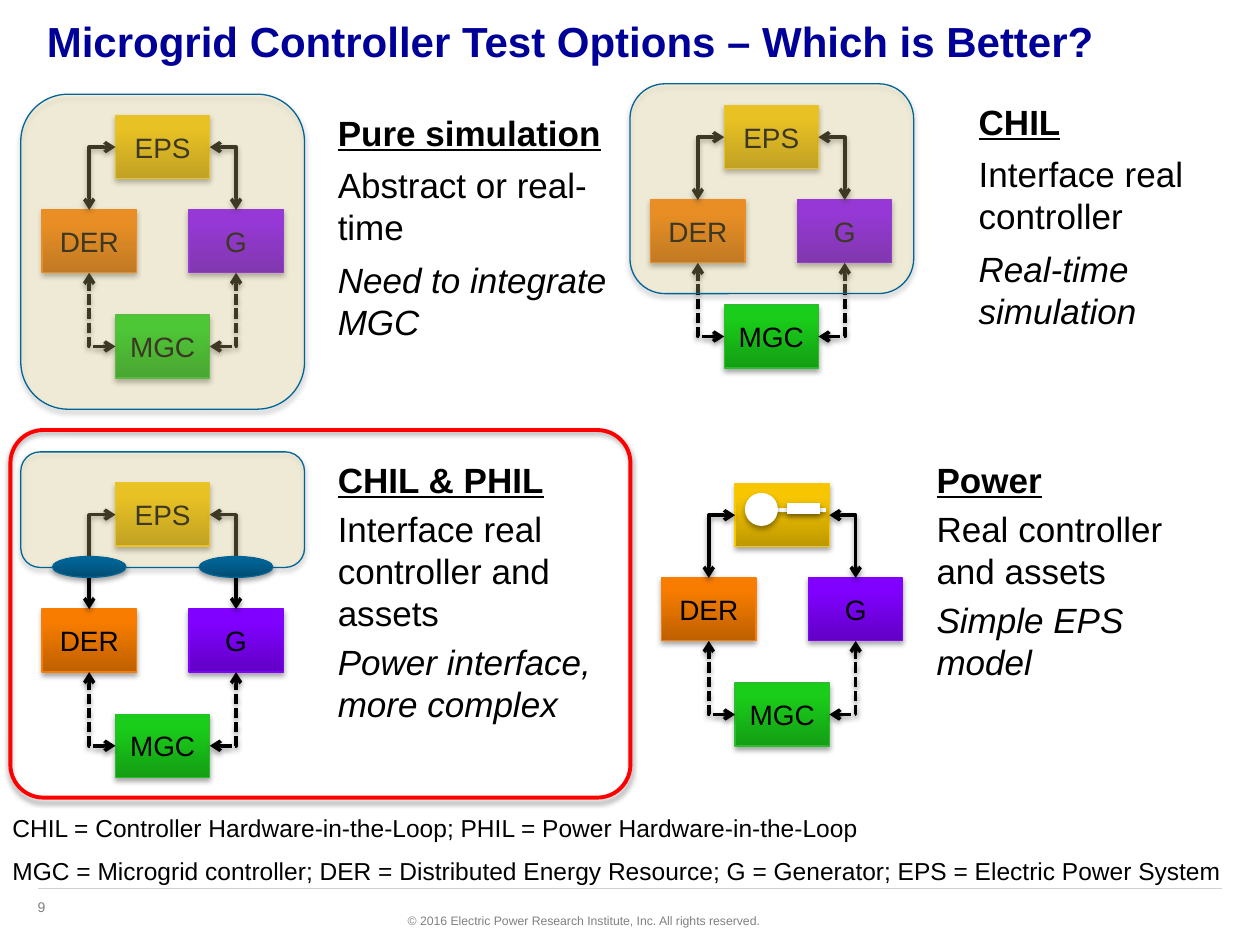
from lxml.etree import SubElement
from pptx import Presentation
from pptx.dml.color import RGBColor
from pptx.enum.dml import MSO_LINE
from pptx.enum.shapes import MSO_CONNECTOR, MSO_SHAPE
from pptx.enum.text import MSO_ANCHOR, PP_ALIGN
from pptx.oxml.ns import qn
from pptx.util import Cm, Pt

COLORS = {
    "title": "000099", "text": "000000", "gray": "808080", "rule": "D1D1D1",
    "white": "FFFFFF", "red": "FF0000", "blue": "006496", "cover": "FFEB99",
}
GRADIENTS = {
    "EPS": ("BE9800", "F7C600", "F9C800"),
    "DER": ("BE6000", "F77C00", "F97D00"),
    "G": ("6200C5", "8001FF", "8103FF"),
    "MGC": ("149E14", "1ACD1A", "2BBD2B"),
    "interface": ("004C72", "006394", "006496"),
}

deck = Presentation()
deck.slide_width, deck.slide_height = Cm(25.4), Cm(19.05)
page = deck.slides.add_slide(deck.slide_layouts[5])


def add_shadow(item, distance=1.8, opacity=35):
    properties = item._element.spPr
    effects = properties.find(qn("a:effectLst"))
    if effects is None:
        effects = SubElement(properties, qn("a:effectLst"))
    shadow = SubElement(effects, qn("a:outerShdw"), blurRad=str(Pt(3.1)), dist=str(Pt(distance)),
                        dir="5400000", rotWithShape="0")
    color = SubElement(shadow, qn("a:srgbClr"), val="000000")
    SubElement(color, qn("a:alpha"), val=str(opacity * 1000))


def add_block(kind, place, line, fill=None, gradient=None, width=0.75):
    block = page.shapes.add_shape(kind, *map(Cm, place))
    if gradient:
        block.fill.gradient()
        block.fill.gradient_angle = 90
        for stop, position, color in zip(block.fill.gradient_stops, (0, 0.8), gradient):
            stop.position = position
            stop.color.rgb = RGBColor.from_string(color)
    elif fill:
        block.fill.solid()
        block.fill.fore_color.rgb = RGBColor.from_string(fill)
    else:
        block.fill.background()
    block.line.color.rgb = RGBColor.from_string(line)
    block.line.width = Pt(width)
    block.shadow.inherit = False
    add_shadow(block)
    return block


title = page.shapes.title
title.left, title.top, title.width, title.height = Cm(0.69), Cm(0.18), Cm(23.88), Cm(2.03)
title.text_frame.text = "Microgrid Controller Test Options – Which is Better?"
title.text_frame.vertical_anchor = MSO_ANCHOR.TOP
para = title.text_frame.paragraphs[0]
para.alignment = PP_ALIGN.LEFT
para.font.name, para.font.size, para.font.bold = "Arial", Pt(24), True
para.font.color.rgb = RGBColor.from_string(COLORS["title"])

circuits = [
    (0.85, 4.23, 1.9, "EPS", (0.42, 1.9, 5.72, 6.35)),
    (0.85, 12.28, 2.54, "EPS", (0.42, 9.11, 5.72, 2.33)),
    (13.12, 4.03, 1.9, "EPS", (12.7, 1.69, 5.72, 4.23)),
    (13.34, 11.65, 1.9, "", None),
]
for left, top, rise, source_label, cover_place in circuits:
    nodes = {}
    for name, label, x, y in [
        ("MGC", "MGC", left + 1.48, top + 2.12),
        ("DER", "DER", left, top),
        ("G", "G", left + 2.96, top),
        ("EPS", source_label, left + 1.48, top - rise),
    ]:
        node = add_block(MSO_SHAPE.RECTANGLE, (x, y, 1.9, 1.27), GRADIENTS[name][2],
                         gradient=GRADIENTS[name])
        nodes[name] = node
        if label:
            node.text_frame.text = label
            node.text_frame.vertical_anchor = MSO_ANCHOR.MIDDLE
            para = node.text_frame.paragraphs[0]
            para.alignment = PP_ALIGN.CENTER
            para.font.name, para.font.size = "Arial", Pt(16)
            para.font.color.rgb = RGBColor.from_string(COLORS["text"])

    for start, start_site, end, end_site in [
        ("MGC", 3, "G", 2), ("MGC", 1, "DER", 2), ("EPS", 1, "DER", 0), ("EPS", 3, "G", 0),
    ]:
        link = page.shapes.add_connector(MSO_CONNECTOR.ELBOW, 0, 0, 0, 0)
        link.begin_connect(nodes[start], start_site)
        link.end_connect(nodes[end], end_site)
        link._element.spPr.find(qn("a:prstGeom")).set("prst", "bentConnector2")
        link.line.color.rgb = RGBColor.from_string(COLORS["text"])
        link.line.width = Pt(2)
        if start == "MGC":
            link.line.dash_style = MSO_LINE.SQUARE_DOT
        outline = link._element.spPr.find(qn("a:ln"))
        for tip in ("a:headEnd", "a:tailEnd"):
            SubElement(outline, qn(tip), type="arrow")
        add_shadow(link, 1.6, 38)

    if cover_place:
        cover = add_block(MSO_SHAPE.ROUNDED_RECTANGLE, cover_place, COLORS["blue"], COLORS["cover"])
        cover_color = cover._element.spPr.find(qn("a:solidFill")).find(qn("a:srgbClr"))
        SubElement(cover_color, qn("a:alpha"), val="24000")

for x in (1.06, 4.02):
    add_block(MSO_SHAPE.OVAL, (x, 11.22, 1.48, 0.42), COLORS["blue"],
              gradient=GRADIENTS["interface"])

rules = [
    ((15.4, 10.28, 16.66, 10.28), "white", 2),
    ((0.76, 17.91, 24.64, 17.91), "rule", 0.75),
]
for ends, color, width in rules:
    rule = page.shapes.add_connector(MSO_CONNECTOR.STRAIGHT, *map(Cm, ends))
    rule.line.color.rgb = RGBColor.from_string(COLORS[color])
    rule.line.width = Pt(width)
    if color == "white":
        add_shadow(rule, 1.6, 38)
    else:
        SubElement(rule._element.spPr, qn("a:effectLst"))
for kind, place in [
    (MSO_SHAPE.OVAL, (15.03, 9.95, 0.64, 0.64)),
    (MSO_SHAPE.RECTANGLE, (15.88, 10.15, 0.64, 0.21)),
]:
    add_block(kind, place, COLORS["white"], COLORS["white"])

descriptions = [
    ((6.56, 2.12, 6.15, 6.55), 6,
     ["Pure simulation", "Abstract or real-time", "Need to integrate MGC"]),
    ((19.48, 1.9, 5.92, 6.35), 6,
     ["CHIL", "Interface real controller", "Real-time simulation"]),
    ((6.56, 9.11, 6.15, 6.35), 4,
     ["CHIL & PHIL", "Interface real controller and assets", "Power interface, more complex"]),
    ((18.63, 9.11, 6.15, 6.35), 4,
     ["Power", "Real controller and assets", "Simple EPS model"]),
]
for place, gap, lines in descriptions:
    box = page.shapes.add_textbox(*map(Cm, place))
    box.text_frame.word_wrap = True
    box.text_frame.text = "\n".join(lines)
    for index, para in enumerate(box.text_frame.paragraphs):
        if index:
            para.space_before = Pt(gap)
        para.font.name, para.font.size = "Arial", Pt(20)
        para.font.color.rgb = RGBColor.from_string(COLORS["text"])
        para.font.bold = para.font.underline = index == 0
        para.font.italic = index == 2

frame = add_block(MSO_SHAPE.ROUNDED_RECTANGLE, (0.21, 8.67, 12.5, 7.41), COLORS["red"], width=2.25)
frame.adjustments[0] = 0.09

notes = [
    ((0, 16.26, 25.02, 1.75), 14, "text", PP_ALIGN.LEFT,
     ["CHIL = Controller Hardware-in-the-Loop; PHIL = Power Hardware-in-the-Loop",
      "MGC = Microgrid controller; DER = Distributed Energy Resource; "
      "G = Generator; EPS = Electric Power System"]),
    ((0.51, 17.98, 1.68, 0.61), 8, "gray", PP_ALIGN.LEFT, ["9"]),
    ((7.82, 18.29, 7.75, 0.56), 7, "gray", PP_ALIGN.RIGHT,
     ["© 2016 Electric Power Research Institute, Inc. All rights reserved."]),
]
for place, size, color, alignment, lines in notes:
    box = page.shapes.add_textbox(*map(Cm, place))
    box.text_frame.word_wrap = False
    box.text_frame.text = "\n".join(lines)
    for index, para in enumerate(box.text_frame.paragraphs):
        if index:
            para.space_before = Pt(8)
        para.alignment = alignment
        para.font.name, para.font.size = "Arial", Pt(size)
        para.font.color.rgb = RGBColor.from_string(COLORS[color])

deck.save("out.pptx")
